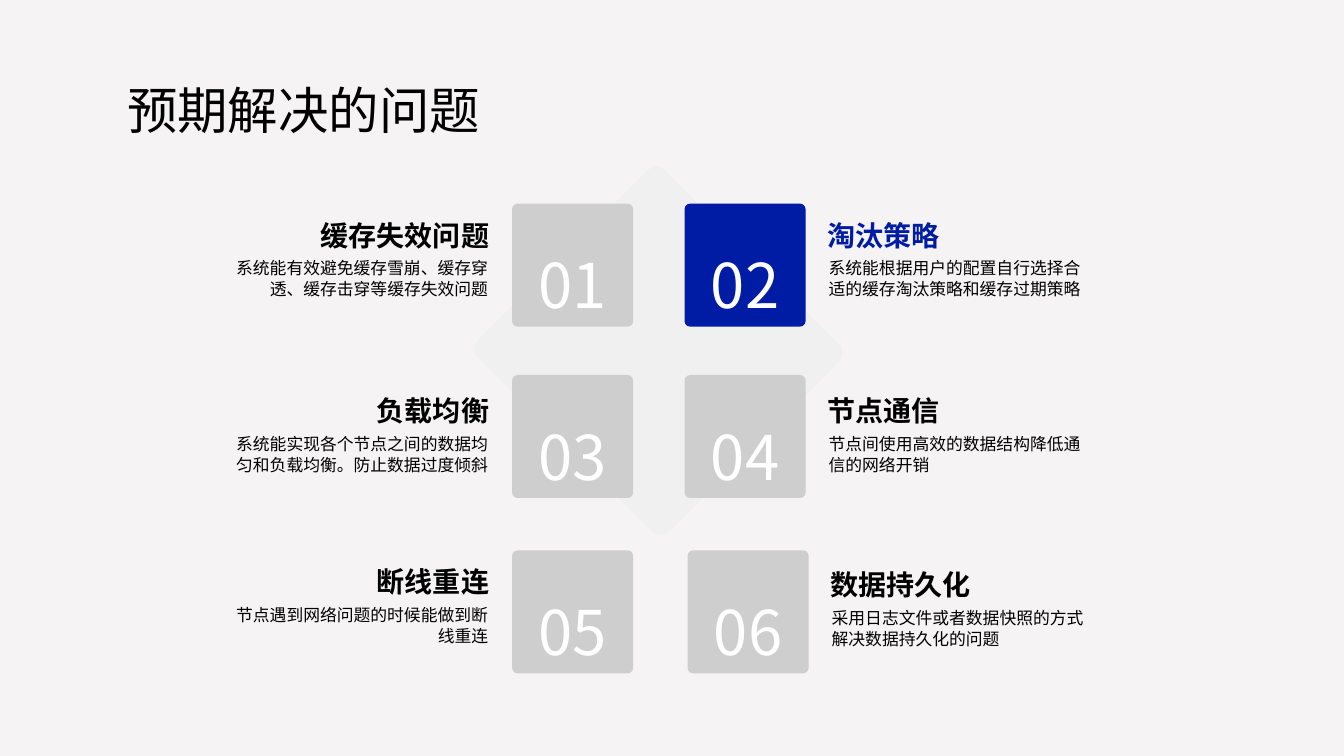
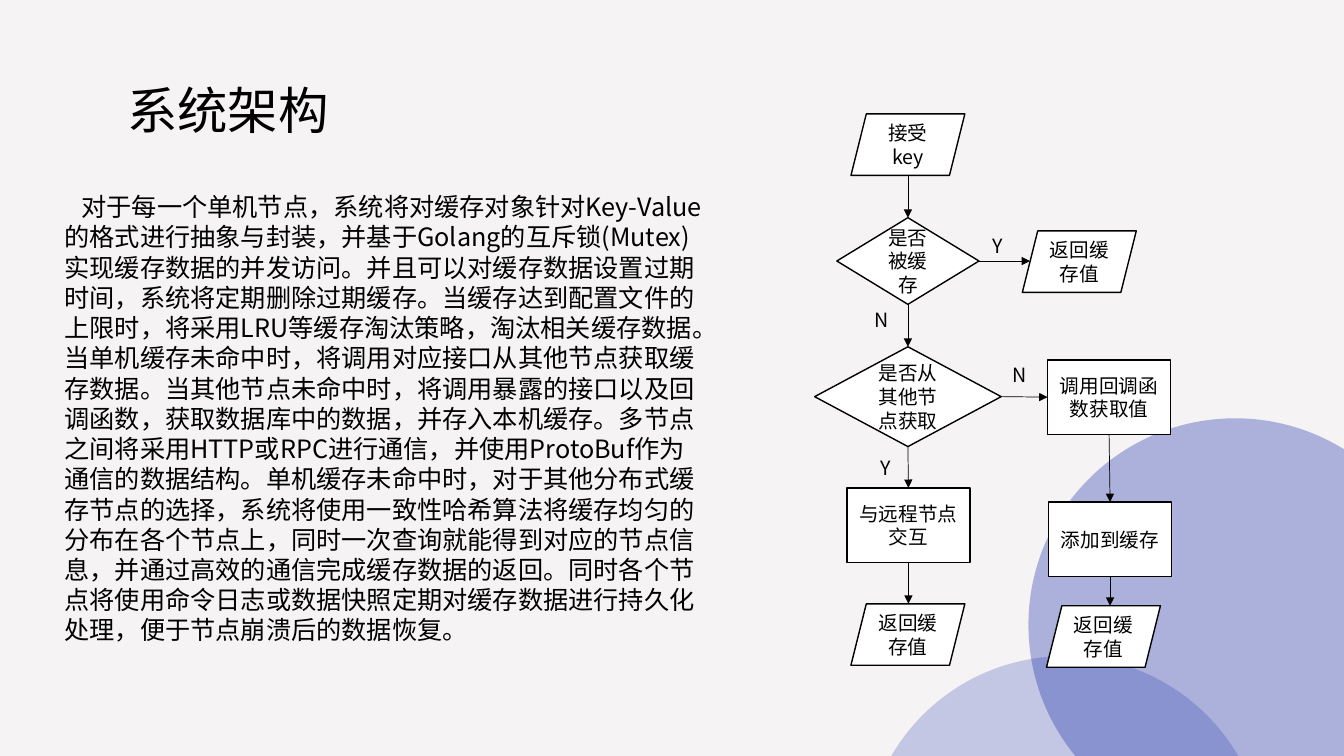
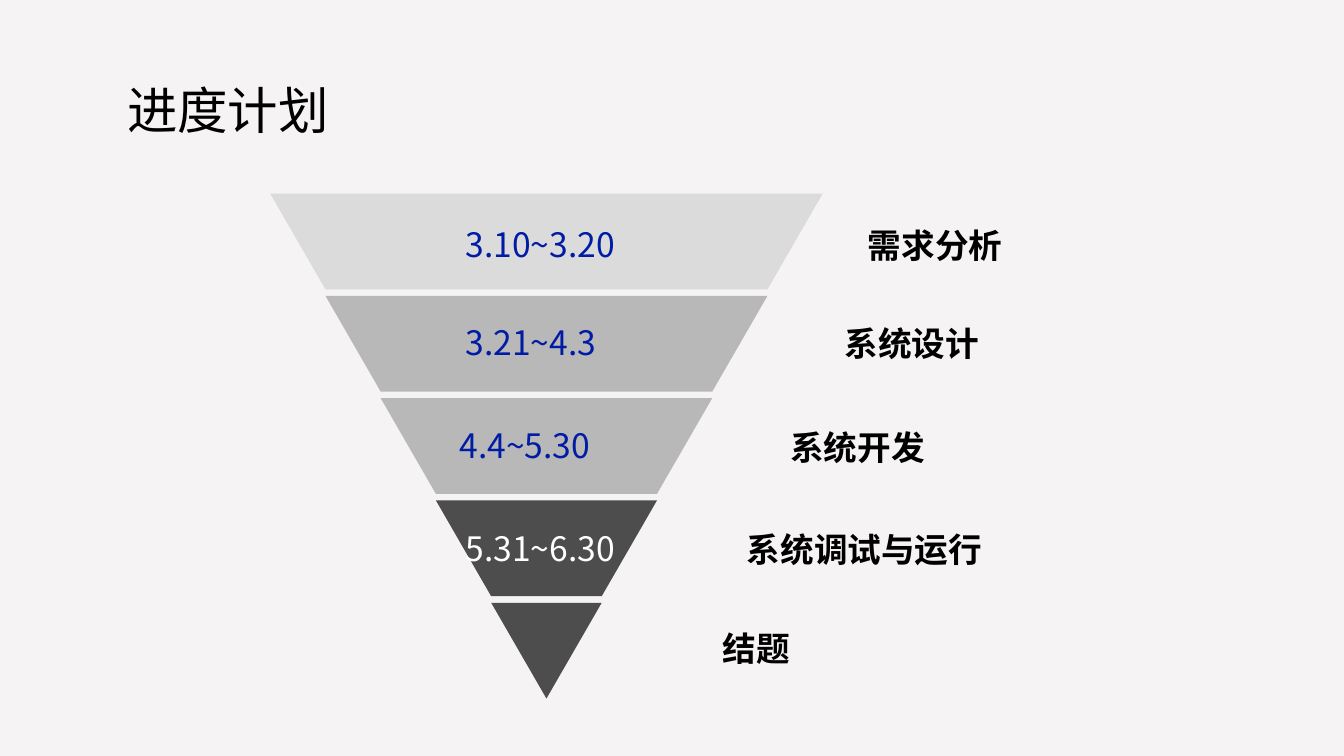
import math
import pptx
import pptx.util
import pptx.dml.color
import pptx.enum.shapes
import pptx.enum.text
import pptx.oxml.ns
import lxml.etree

Inches = pptx.util.Inches
Pt = pptx.util.Pt
color = pptx.dml.color.RGBColor.from_string
qn = pptx.oxml.ns.qn
SHAPE = pptx.enum.shapes.MSO_SHAPE
ALIGN = pptx.enum.text.PP_ALIGN
ANCHOR = pptx.enum.text.MSO_ANCHOR

WIDTH, HEIGHT = 13.33, 7.5
FONT = "Noto Sans CJK SC"
PAPER, BLACK, WHITE, BLUE = "F5F3F4", "000000", "FFFFFF", "001BA4"
GREY, PALE = "CECECE", "F0F0F0"


def write(holder, text, size, ink=BLACK, bold=False, align=ALIGN.LEFT,
          anchor=ANCHOR.TOP, spacing=None):
    frame = holder.text_frame
    frame.word_wrap = True
    frame.vertical_anchor = anchor
    para = frame.paragraphs[0]
    para.alignment = align
    if spacing:
        para.line_spacing = spacing
    span = para.add_run()
    span.text = text
    span.font.size = Pt(size)
    span.font.bold = bold
    span.font.name = FONT
    span.font.color.rgb = color(ink)
    east = lxml.etree.SubElement(span.font._element, qn("a:ea"))
    east.set("typeface", FONT)
    return para


def paint(shape, fill, line=None, opacity=100):
    shape.shadow.inherit = False
    shape.fill.solid()
    shape.fill.fore_color.rgb = color(fill)
    if opacity < 100:
        tint = shape.fill._xPr.find(qn("a:solidFill"))[0]
        lxml.etree.SubElement(tint, qn("a:alpha")).set("val", str(opacity * 1000))
    if line:
        shape.line.color.rgb = color(line)
        shape.line.width = Pt(1)
    else:
        shape.line.fill.background()


deck = pptx.Presentation()
deck.slide_width, deck.slide_height = Inches(WIDTH), Inches(HEIGHT)

pages = []
for heading in ["预期解决的问题", "系统架构", "进度计划"]:
    page = deck.slides.add_slide(deck.slide_layouts[5])
    title = page.shapes.title
    title.left, title.top = Inches(1.16), Inches(0.4)
    title.width, title.height = Inches(11.25), Inches(1.45)
    write(title, heading, 36, anchor=ANCHOR.MIDDLE, spacing=0.9)
    pages.append(page)
problems, architecture, schedule = [page.shapes for page in pages]

backdrop = problems.add_shape(SHAPE.RECTANGLE, 0, 0, deck.slide_width, deck.slide_height)
paint(backdrop, PAPER)
deck.slide_master.shapes._spTree.insert(2, backdrop._element)

diamond = problems.add_shape(SHAPE.ROUNDED_RECTANGLE, Inches(5.19), Inches(2.17),
                             Inches(2.68), Inches(2.62))
diamond.adjustments[0] = 0.045
diamond.rotation = 45
paint(diamond, PALE)

columns = [(5.08, 2.92, 2.15, ALIGN.RIGHT), (6.79, 8.11, 8.12, ALIGN.LEFT)]
rows = [2.02, 3.72, 5.46]
topics = [
    ("缓存失效问题", "系统能有效避免缓存雪崩、缓存穿透、缓存击穿等缓存失效问题", 0.1, 0.48, 0),
    ("淘汰策略", "系统能根据用户的配置自行选择合适的缓存淘汰策略和缓存过期策略", 0.1, 0.48, 0),
    ("负载均衡", "系统能实现各个节点之间的数据均匀和负载均衡。防止数据过度倾斜", 0.13, 0.53, 0),
    ("节点通信", "节点间使用高效的数据结构降低通信的网络开销", 0.13, 0.53, 0),
    ("断线重连", "节点遇到网络问题的时候能做到断线重连", 0.09, 0.48, 0),
    ("数据持久化", "采用日志文件或者数据快照的方式解决数据持久化的问题", 0.12, 0.51, 0.03),
]
for index, (name, detail, name_drop, detail_drop, shift) in enumerate(topics):
    tile_left, name_left, detail_left, align = columns[index % 2]
    top = rows[index // 2]
    active = index == 1
    tile = problems.add_shape(SHAPE.ROUNDED_RECTANGLE, Inches(tile_left + shift),
                              Inches(top), Inches(1.2), Inches(1.22))
    tile.adjustments[0] = 0.045
    paint(tile, BLUE if active else GREY)
    write(tile, f"{index + 1:02}", 44, WHITE, align=ALIGN.CENTER, spacing=1.5)
    box = problems.add_textbox(Inches(name_left + shift), Inches(top + name_drop),
                               Inches(2.03), Inches(0.44))
    write(box, name, 20, BLUE if active else BLACK, True, align)
    box = problems.add_textbox(Inches(detail_left + shift), Inches(top + detail_drop),
                               Inches(2.79), Inches(0.51))
    write(box, detail, 12, align=align, spacing=Pt(15))

box = architecture.add_textbox(Inches(0.54), Inches(1.85), Inches(6.59), Inches(4.64))
para = write(box, (
    "对于每一个单机节点，系统将对缓存对象针对Key-Value的格式进行抽象与封装，"
    "并基于Golang的互斥锁(Mutex)实现缓存数据的并发访问。并且可以对缓存数据设置过期时间，"
    "系统将定期删除过期缓存。当缓存达到配置文件的上限时，将采用LRU等缓存淘汰策略，"
    "淘汰相关缓存数据。当单机缓存未命中时，将调用对应接口从其他节点获取缓存数据。"
    "当其他节点未命中时，将调用暴露的接口以及回调函数，获取数据库中的数据，并存入本机缓存。"
    "多节点之间将采用HTTP或RPC进行通信，并使用ProtoBuf作为通信的数据结构。"
    "单机缓存未命中时，对于其他分布式缓存节点的选择，系统将使用一致性哈希算法将缓存均匀的"
    "分布在各个节点上，同时一次查询就能得到对应的节点信息，并通过高效的通信完成缓存数据的返回。"
    "同时各个节点将使用命令日志或数据快照定期对缓存数据进行持久化处理，"
    "便于节点崩溃后的数据恢复。"), 18)
indent = para._p.get_or_add_pPr()
indent.set("marL", "0")
indent.set("indent", str(Inches(0.17)))

circles = [
    (12.25, 6.2, 2.05, [140.6, 180, 270, 301.8], [(WIDTH, HEIGHT)], 30),
    (10.56, 8.5, 1.99, [210.2, 270, 329.8], [], 20),
]
for center_x, center_y, radius, stops, corners, opacity in circles:
    points = []
    for first, last in zip(stops, stops[1:]):
        start, finish = math.radians(first), math.radians(last)
        reach = 4 / 3 * math.tan((finish - start) / 4)
        for angle, pull in [(start, 0), (start, reach), (finish, -reach)]:
            points.append((center_x + radius * (math.cos(angle) - pull * math.sin(angle)),
                           center_y + radius * (math.sin(angle) + pull * math.cos(angle))))
    points.append((center_x + radius * math.cos(finish),
                   center_y + radius * math.sin(finish)))
    points = [(Inches(x), Inches(y)) for x, y in points + corners]
    outline = architecture.build_freeform(*points[0])
    outline.add_line_segments(points[1:])
    circle = outline.convert_to_shape()
    lines = list(circle._element.iter(qn("a:lnTo")))
    for index in range(0, 3 * (len(stops) - 1), 3):
        curve = lxml.etree.Element(qn("a:cubicBezTo"))
        lines[index].addprevious(curve)
        for line in lines[index:index + 3]:
            curve.append(line[0])
            line.getparent().remove(line)
    paint(circle, BLUE, opacity=opacity)

sizes = {
    "data": (SHAPE.PARALLELOGRAM, 1.13, 0.61),
    "step": (SHAPE.RECTANGLE, 1.22, 0.74),
    "cached": (SHAPE.DIAMOND, 1.41, 0.86),
    "remote": (SHAPE.DIAMOND, 1.85, 0.99),
}
flow = [
    ("receive", "data", 8.44, 1.13, "接受key"),
    ("is_cached", "cached", 8.3, 2.16, "是否被缓存"),
    ("return_hit", "data", 10.14, 2.29, "返回缓存值"),
    ("is_remote", "remote", 8.08, 3.44, "是否从其他节点获取"),
    ("return_remote", "data", 8.44, 5.99, "返回缓存值"),
    ("talk", "step", 8.4, 4.84, "与远程节点交互"),
    ("callback", "step", 10.39, 3.57, "调用回调函数获取值"),
    ("store", "step", 10.4, 4.98, "添加到缓存"),
    ("return_stored", "data", 10.38, 6.01, "返回缓存值"),
]
nodes = {}
for key, kind, left, top, text in flow:
    preset, width, height = sizes[kind]
    node = architecture.add_shape(preset, Inches(left), Inches(top),
                                  Inches(width), Inches(height))
    paint(node, WHITE, BLACK)
    write(node, text, 14, align=ALIGN.CENTER, anchor=ANCHOR.MIDDLE)
    nodes[key] = node

arrows = [
    ("receive", "is_cached", "down"),
    ("is_cached", "is_remote", "down"),
    ("is_remote", "talk", "down"),
    ("talk", "return_remote", "down"),
    ("callback", "store", "down"),
    ("store", "return_stored", "down"),
    ("is_remote", "callback", "right"),
    ("is_cached", "return_hit", "right"),
]
for source, target, direction in arrows:
    begin, end = nodes[source], nodes[target]
    if direction == "down":
        begin_side, end_side = 2, 0
        start_x = finish_x = begin.left + begin.width // 2
        start_y, finish_y = begin.top + begin.height, end.top
    else:
        begin_side, end_side = 3, 1
        start_y = finish_y = begin.top + begin.height // 2
        start_x, finish_x = begin.left + begin.width, end.left + end.height // 8
    arrow = architecture.add_connector(pptx.enum.shapes.MSO_CONNECTOR.STRAIGHT,
                                       start_x, start_y, finish_x, finish_y)
    if begin.auto_shape_type != SHAPE.PARALLELOGRAM:
        arrow.begin_connect(begin, begin_side)
    if end.auto_shape_type != SHAPE.PARALLELOGRAM:
        arrow.end_connect(end, end_side)
    arrow.line.color.rgb = color(BLACK)
    arrow.line.width = Pt(0.5)
    head = lxml.etree.SubElement(arrow.line._get_or_add_ln(), qn("a:tailEnd"))
    head.set("type", "triangle")
    lxml.etree.SubElement(arrow._element.spPr, qn("a:effectLst"))

for answer, left, top in [("Y", 9.75, 2.27), ("Y", 8.63, 4.47),
                          ("N", 9.94, 3.55), ("N", 8.57, 3.01)]:
    box = architecture.add_textbox(Inches(left), Inches(top), Inches(0.35), Inches(0.34))
    write(box, answer, 14)

APEX_X, FUNNEL_TOP, APEX_Y = 5.42, 1.92, 6.93
BAND = 0.95
PITCH = (APEX_Y - FUNNEL_TOP - BAND) / 4
HALF_WIDTH = 2.74
stages = [
    ("DBDBDB", "3.10~3.20", BLUE, 4.52, 2.17, 3.16, "需求分析", 8.51, 2.1, 4.82),
    ("B8B8B8", "3.21~4.3", BLUE, 4.52, 3.14, 3.16, "系统设计", 8.28, 3.07, 5.05),
    ("B8B8B8", "4.4~5.30", BLUE, 4.46, 4.17, 3.16, "系统开发", 7.74, 4.1, 5.59),
    ("4D4D4D", "5.31~6.30", WHITE, 4.52, 5.19, 1.99, "系统调试与运行", 7.31, 5.11, 5.75),
    ("4D4D4D", None, WHITE, 0, 0, 0, "结题", 7.07, 6.09, 5.75),
]
for index, (fill, dates, ink, date_left, date_top, date_width,
            label, label_left, label_top, label_width) in enumerate(stages):
    top = FUNNEL_TOP + PITCH * index
    bottom = top + BAND
    wide = HALF_WIDTH * (5 - index) / 5
    narrow = HALF_WIDTH * (4 - index) / 5
    points = [(APEX_X - wide, top), (APEX_X + wide, top), (APEX_X + narrow, bottom)]
    if narrow:
        points.append((APEX_X - narrow, bottom))
    points = [(Inches(x), Inches(y)) for x, y in points]
    outline = schedule.build_freeform(*points[0])
    outline.add_line_segments(points[1:])
    paint(outline.convert_to_shape(), fill)
    if dates:
        box = schedule.add_textbox(Inches(date_left), Inches(date_top),
                                   Inches(date_width), Inches(0.5))
        write(box, dates, 24, ink)
    box = schedule.add_textbox(Inches(label_left), Inches(label_top),
                               Inches(label_width), Inches(0.67))
    write(box, label, 24, bold=True, anchor=ANCHOR.MIDDLE)

deck.save("out.pptx")
